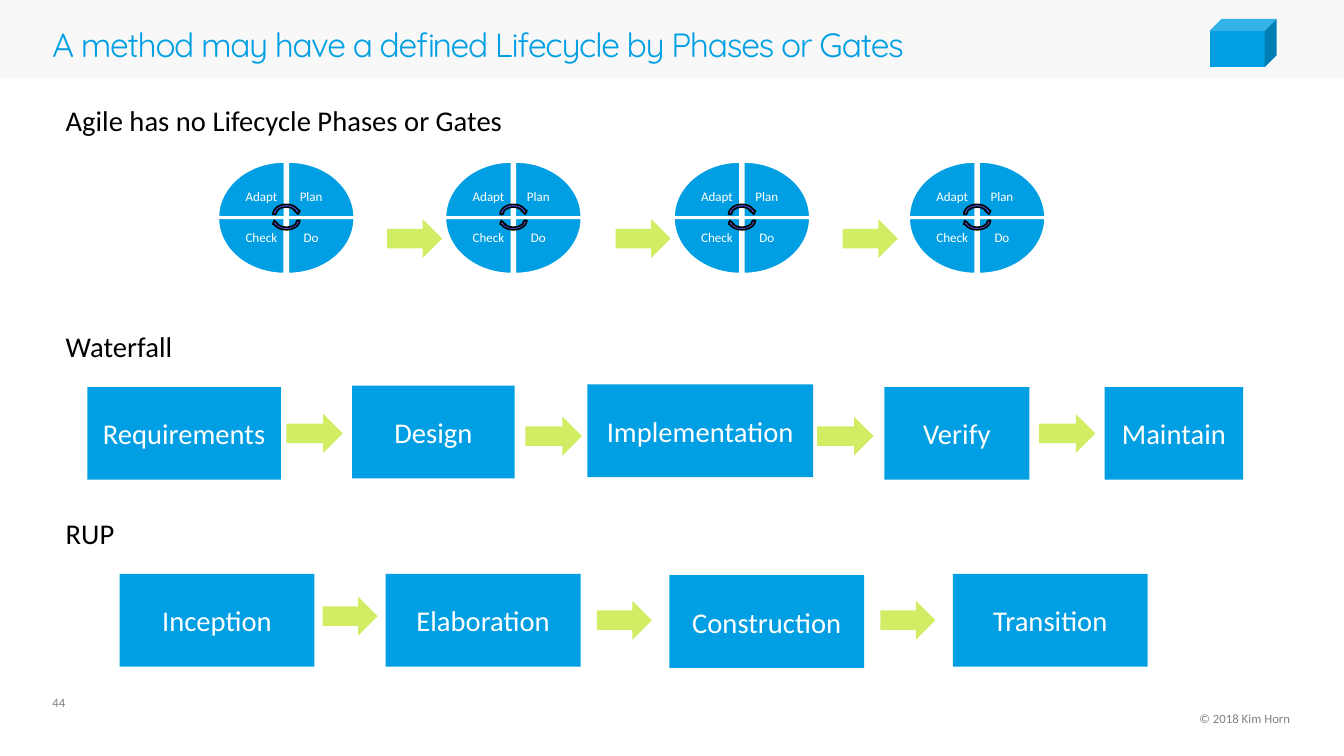
from typing import NamedTuple, Optional

import lxml.etree
import pptx
import pptx.dml.color
import pptx.enum.shapes
import pptx.enum.text
import pptx.oxml.ns
import pptx.util

Inches = pptx.util.Inches
Shape = pptx.enum.shapes.MSO_SHAPE
Align = pptx.enum.text.PP_ALIGN
Anchor = pptx.enum.text.MSO_ANCHOR

COLORS = {
    "blue": "009FE3",
    "lime": "D1ED64",
    "indigo": "4757D3",
    "band": "F2F2F2",
    "grey": "808080",
    "white": "FFFFFF",
    "black": "000000",
}


class Place(NamedTuple):
    left: float
    top: float
    width: float
    height: float


class Style(NamedTuple):
    size: float
    color: str
    align: Align = Align.LEFT
    anchor: Anchor = Anchor.MIDDLE
    insets: tuple = (0, 0, 0, 0)
    font: str = "Calibri"
    wrap: bool = True
    line_spacing: Optional[float] = None


class Step(NamedTuple):
    text: str
    left: float
    top: float
    width: float


class Quarter(NamedTuple):
    text: str
    side: int      # -1 left, 1 right
    level: int     # -1 upper, 1 lower
    rotation: int


BOX_INSETS = (0.1, 0.05, 0.1, 0.05)
TITLE = Style(18, "blue", font="Quicksand", line_spacing=0.9)
HEADING = Style(15.3, "black", anchor=Anchor.TOP, insets=BOX_INSETS, wrap=False)
STEP = Style(15.3, "white", Align.CENTER, insets=BOX_INSETS)
QUARTER = Style(7, "white", Align.CENTER, insets=(0.05,) * 4, line_spacing=0.9)
PAGE_NUMBER = Style(6.8, "grey", anchor=Anchor.TOP, insets=(0, 0.05, 0.1, 0))
COPYRIGHT = Style(6.8, "grey", Align.RIGHT)

HEADINGS = [
    ("Agile has no Lifecycle Phases or Gates", Place(0.39, 0.72, 3.48, 0.36)),
    ("Waterfall", Place(0.39, 2.4, 1, 0.36)),
    ("RUP", Place(0.39, 3.79, 0.57, 0.36)),
]
STEP_HEIGHT = 0.69
WATERFALL = [
    Step("Requirements", 0.65, 2.88, 1.44),
    Step("Design", 2.62, 2.87, 1.21),
    Step("Implementation", 4.37, 2.86, 1.68),
    Step("Verify", 6.58, 2.88, 1.08),
    Step("Maintain", 8.22, 2.88, 1.03),
]
RUP = [
    Step("Inception", 0.89, 4.27, 1.45),
    Step("Elaboration", 2.87, 4.27, 1.45),
    Step("Construction", 4.98, 4.28, 1.45),
    Step("Transition", 7.09, 4.27, 1.45),
]
ARROWS = (
    [Place(left, 1.63, 0.41, 0.29) for left in (2.88, 4.58, 6.27)]
    + [Place(left, top, 0.42, 0.29)
       for left, top in ((2.13, 3.08), (3.91, 3.1), (6.08, 3.1), (7.73, 3.08))]
    + [Place(left, top, 0.41, 0.29)
       for left, top in ((2.4, 4.44), (4.44, 4.47), (6.55, 4.47))]
)
QUARTERS = [
    Quarter("Adapt", -1, -1, 0),
    Quarter("Plan", 1, -1, 90),
    Quarter("Do", 1, 1, 180),
    Quarter("Check", -1, 1, 270),
]
CYCLE_CENTERS = (2.13, 3.82, 5.52, 7.27)
CYCLE_MIDDLE = 1.62


def rgb(name: str) -> pptx.dml.color.RGBColor:
    return pptx.dml.color.RGBColor.from_string(COLORS[name])


def write(shape, text: str, style: Style):
    """Set the text of a shape and return its run."""
    frame = shape.text_frame
    left, top, right, bottom = map(Inches, style.insets)
    frame_format = {
        "word_wrap": style.wrap, "vertical_anchor": style.anchor,
        "margin_left": left, "margin_top": top,
        "margin_right": right, "margin_bottom": bottom,
    }
    para = frame.paragraphs[0]
    span = para.add_run()
    span.text = text
    para_format = {"alignment": style.align, "line_spacing": style.line_spacing}
    font_format = {"name": style.font, "size": pptx.util.Pt(style.size)}
    for target, values in ((frame, frame_format), (para, para_format), (span.font, font_format)):
        for name, value in values.items():
            setattr(target, name, value)
    span.font.color.rgb = rgb(style.color)
    return span


def add_text(page, text: str, place: Place, style: Style):
    return write(page.shapes.add_textbox(*map(Inches, place)), text, style)


def add_shape(page, kind: Shape, place: Place, fill: str,
              line: Optional[str] = None, rotation: float = 0):
    shape = page.shapes.add_shape(kind, *map(Inches, place))
    shape.shadow.inherit = False
    shape.rotation = rotation
    shape.fill.solid()
    shape.fill.fore_color.rgb = rgb(fill)
    if line:
        shape.line.color.rgb = rgb(line)
        shape.line.width = pptx.util.Pt(0.85)
    else:
        shape.line.fill.background()
    return shape


def add_cycle(page, center: float) -> None:
    """Four wedges around a center, with two turning arrows on top."""
    for quarter in QUARTERS:
        # A quarter turn swaps the sides of the frame
        width, height = (0.41, 0.49) if quarter.rotation % 180 else (0.49, 0.41)
        middle_x = center + quarter.side * 0.26
        middle_y = CYCLE_MIDDLE + quarter.level * 0.21
        wedge = Place(middle_x - width / 2, middle_y - height / 2, width, height)
        add_shape(page, Shape.PIE_WEDGE, wedge, "blue", "white", quarter.rotation)
        label = Place(center + (0.01 if quarter.side > 0 else -0.36),
                      CYCLE_MIDDLE + (0.01 if quarter.level > 0 else -0.3), 0.35, 0.29)
        add_text(page, quarter.text, label, QUARTER)
    for top, height, rotation in ((1.51, 0.17, 0), (1.56, 0.16, 180)):
        add_shape(page, Shape.CIRCULAR_ARROW, Place(center - 0.11, top, 0.22, height),
                  "indigo", "black", rotation)


def add_step(page, step: Step) -> None:
    place = Place(step.left, step.top, step.width, STEP_HEIGHT)
    write(add_shape(page, Shape.RECTANGLE, place, "blue"), step.text, STEP)


def main() -> None:
    # Widescreen page, 16 to 9
    deck = pptx.Presentation()
    deck.slide_width = Inches(10)
    deck.slide_height = Inches(10 * 9 / 16)
    page = deck.slides.add_slide(deck.slide_layouts[6])

    # Header band, half transparent, with a plain emblem
    band = add_shape(page, Shape.RECTANGLE, Place(0, 0, 10, 0.58), "band")
    qn = pptx.oxml.ns.qn
    band_color = next(band._element.spPr.iter(qn("a:srgbClr")))
    lxml.etree.SubElement(band_color, qn("a:alpha")).set("val", "50000")
    add_shape(page, Shape.CUBE, Place(9, 0.14, 0.5, 0.36), "blue")

    # Title and footer
    title = add_text(page, "A method may have a defined Lifecycle by Phases or Gates",
                     Place(0.39, 0.21, 8.05, 0.27), TITLE)
    title.font._element.set("spc", "-67")
    add_text(page, "44", Place(0.39, 5.12, 0.32, 0.16), PAGE_NUMBER)
    add_text(page, "© 2018 Kim Horn", Place(5.63, 5.29, 3.97, 0.11), COPYRIGHT)

    # Three lifecycles
    for text, place in HEADINGS:
        add_text(page, text, place, HEADING)
    for center in CYCLE_CENTERS:
        add_cycle(page, center)
    for step in WATERFALL + RUP:
        add_step(page, step)
    for place in ARROWS:
        add_shape(page, Shape.RIGHT_ARROW, place, "lime")

    deck.save("out.pptx")


if __name__ == "__main__":
    main()
